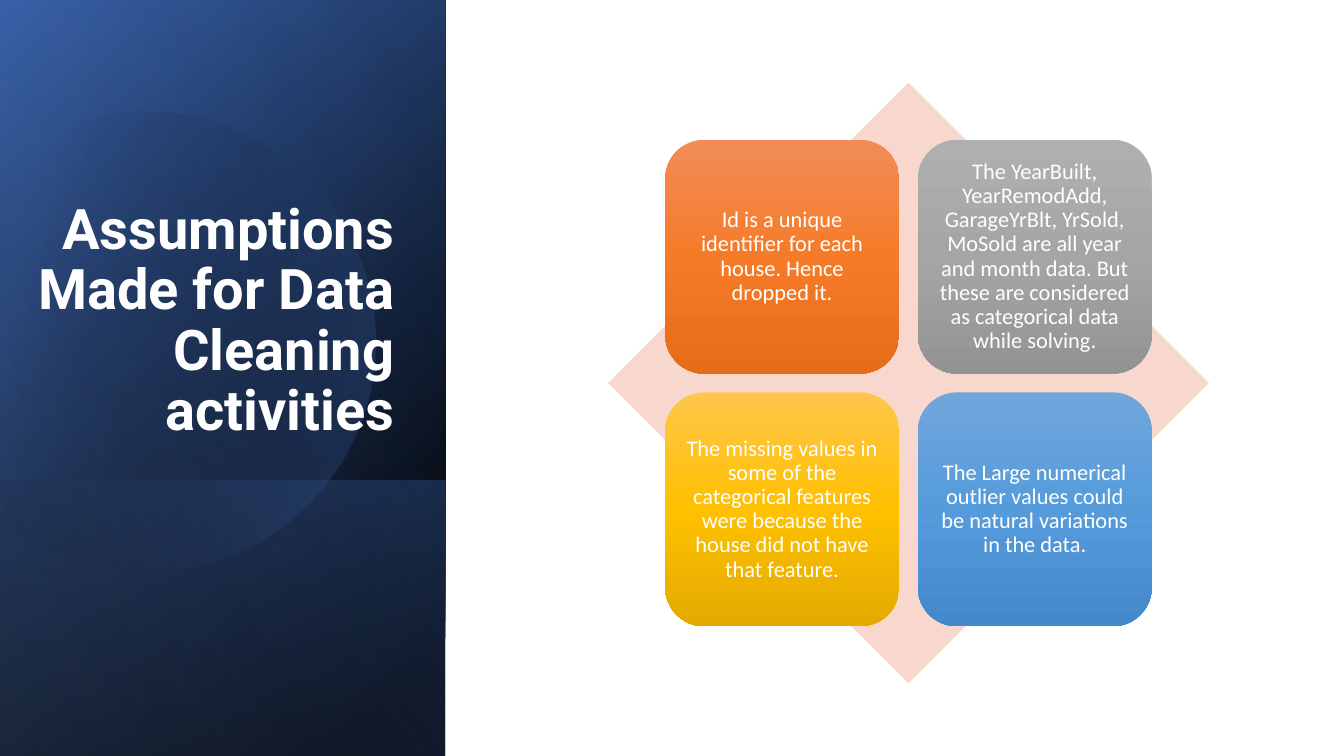
import math
from dataclasses import dataclass

from lxml import etree
from pptx import Presentation
from pptx import util as u
from pptx.dml.color import RGBColor
from pptx.enum import shapes, text
from pptx.oxml.ns import qn

SCALE = 4572  # EMU per px, 200 px to the inch
SLIDE_WIDTH, SLIDE_HEIGHT = 2000, 1125
PANEL_WIDTH = 663
COLOURS = {
    "white": "FFFFFF", "black": "000000", "navy": "2F5597",
    "blue": "4472C4", "pale blue": "8FAADC", "diamond": "F8D7CE",
    "orange light": "F18C57", "orange": "F67B28", "orange dark": "E56C19",
    "grey light": "AFAFAF", "grey": "A5A5A5", "grey dark": "939393",
    "gold light": "FFC64B", "gold": "FFC000", "gold dark": "E3AB00",
    "sky light": "71A6DB", "sky": "559BDB", "sky dark": "448ACA",
}


@dataclass
class Stop:
    position: int
    colour: str
    opacity: int = 100


@dataclass
class Layer:
    top: int
    angle: int
    stops: list[Stop]


@dataclass
class Tile:
    column: int
    row: int
    colour: str
    wording: str


LAYERS = [
    Layer(0, 50, [Stop(8, "black"), Stop(100, "navy")]),
    Layer(0, 30, [Stop(0, "black", 0), Stop(99, "blue", 46)]),
    Layer(715, 130, [Stop(2, "blue", 29), Stop(100, "black", 30)]),
]
TOP_LAYER = Layer(0, 120, [Stop(0, "black", 0), Stop(99, "pale blue", 11)])
# Disc: frame before turning, and its outline on the slide.
# A segment of three points is a curve, a segment of one is a line.
DISC_FRAME = (-82, 160, 640, 686)
DISC_TURN = 343.9
DISC_STOPS = [Stop(29, "black", 0), Stop(100, "blue", 43)]
DISC_START = (222, 166)
DISC_SEGMENTS = [
    [(370, 168), (502, 266), (546, 414)],
    [(598, 596), (492, 786), (310, 838)],
    [(196, 870), (80, 842), (-4, 772)],
    [(-22, 754)],
    [(-22, 262)],
    [(0, 242)],
    [(34, 214), (76, 192), (120, 178)],
    [(154, 168), (190, 164), (222, 166)],
]
TILES = [
    Tile(0, 0, "orange", "Id is a unique identifier for each house. Hence dropped it."),
    Tile(1, 0, "grey", "The YearBuilt, YearRemodAdd, GarageYrBlt, YrSold, MoSold are all "
         "year and month data. But these are considered as categorical data while solving."),
    Tile(0, 1, "gold", "The missing values in some of the categorical features were "
         "because the house did not have that feature."),
    Tile(1, 1, "sky", "The Large numerical outlier values could be natural variations "
         "in the data."),
]


def px(*lengths: float) -> list[u.Emu]:
    return [u.Emu(round(length * SCALE)) for length in lengths]


def rgb(name: str) -> RGBColor:
    return RGBColor.from_string(COLOURS[name])


def fill_gradient(shape, stops: list[Stop], angle: int) -> None:
    """Give the shape a linear gradient; angle runs clockwise in degrees."""
    shape.shadow.inherit = False
    shape.line.fill.background()
    shape.fill.gradient()
    gradient = shape._element.spPr.find(qn("a:gradFill"))
    for child in list(gradient):
        gradient.remove(child)
    gradient.set("rotWithShape", "1")
    stop_list = etree.SubElement(gradient, qn("a:gsLst"))
    for stop in stops:
        mark = etree.SubElement(stop_list, qn("a:gs"), pos=str(stop.position * 1000))
        colour = etree.SubElement(mark, qn("a:srgbClr"), val=COLOURS[stop.colour])
        if stop.opacity < 100:
            etree.SubElement(colour, qn("a:alpha"), val=str(stop.opacity * 1000))
    etree.SubElement(gradient, qn("a:lin"), ang=str(angle * 60000), scaled="0")


def write(shape, wording: str, font_name: str, size: int, alignment, bold: bool) -> None:
    paragraph = shape.text_frame.paragraphs[0]
    paragraph.alignment = alignment
    paragraph.line_spacing = 0.9
    run = paragraph.add_run()
    run.text = wording
    run.font.name, run.font.size, run.font.bold = font_name, u.Pt(size), bold
    run.font.color.rgb = rgb("white")


def draw_layer(slide, layer: Layer) -> None:
    """Draw a mirrored rectangle turned a quarter, from its top to the slide's foot."""
    height = SLIDE_HEIGHT - layer.top
    left = (PANEL_WIDTH - height) / 2
    top = layer.top + (height - PANEL_WIDTH) / 2
    shape = slide.shapes.add_shape(shapes.MSO_SHAPE.RECTANGLE,
                                   *px(left, top, height, PANEL_WIDTH))
    shape.rotation = 90
    shape._element.spPr.find(qn("a:xfrm")).set("flipH", "1")
    fill_gradient(shape, layer.stops, layer.angle)


def into_disc_frame(point: tuple[int, int]) -> list[u.Emu]:
    """Turn a slide point back into the frame of the unturned disc."""
    left, top, width, height = DISC_FRAME
    x, y = point[0] - left - width / 2, point[1] - top - height / 2
    turn = math.radians(-DISC_TURN)
    return px(x * math.cos(turn) - y * math.sin(turn) + width / 2,
              x * math.sin(turn) + y * math.cos(turn) + height / 2)


def draw_disc(slide) -> None:
    builder = slide.shapes.build_freeform(*into_disc_frame(DISC_START))
    builder.add_line_segments([into_disc_frame(segment[-1]) for segment in DISC_SEGMENTS])
    shape = builder.convert_to_shape()
    shape.left, shape.top, shape.width, shape.height = px(*DISC_FRAME)
    shape.rotation = DISC_TURN
    # Bend the outline
    outline = next(shape._element.iter(qn("a:path")))
    for child in list(outline):
        outline.remove(child)
    for name, size in zip("wh", px(*DISC_FRAME[2:])):
        outline.set(name, str(size))
    steps = [("a:moveTo", [DISC_START])]
    steps += [("a:cubicBezTo" if len(segment) == 3 else "a:lnTo", segment)
              for segment in DISC_SEGMENTS]
    for tag, points in steps + [("a:close", [])]:
        step = etree.SubElement(outline, qn(tag))
        for point in points:
            x, y = into_disc_frame(point)
            etree.SubElement(step, qn("a:pt"), x=str(x), y=str(y))
    fill_gradient(shape, DISC_STOPS, 30)


def draw_tile(group, tile: Tile, left: int, top: int, size: int) -> None:
    shape = group.shapes.add_shape(shapes.MSO_SHAPE.ROUNDED_RECTANGLE,
                                   *px(left, top, size, size))
    shades = (f"{tile.colour} light", tile.colour, f"{tile.colour} dark")
    fill_gradient(shape, [Stop(50 * i, shade) for i, shade in enumerate(shades)], 90)
    frame = shape.text_frame
    frame.word_wrap = True
    frame.vertical_anchor = text.MSO_ANCHOR.MIDDLE
    frame.margin_left = frame.margin_right = frame.margin_top = frame.margin_bottom = px(10)[0]
    write(shape, tile.wording, "Calibri", 12, text.PP_ALIGN.CENTER, False)


def draw_matrix(slide) -> None:
    left, top, size = 905, 123, 894
    tile_size, gap = 348, 28
    group = slide.shapes.add_group_shape()
    diamond = group.shapes.add_shape(shapes.MSO_SHAPE.DIAMOND, *px(left, top, size, size))
    diamond.shadow.inherit = False
    diamond.fill.solid()
    diamond.fill.fore_color.rgb = rgb("diamond")
    diamond.line.fill.background()
    inset = (size - 2 * tile_size - gap) // 2
    for tile in TILES:
        draw_tile(group, tile, left + inset + tile.column * (tile_size + gap),
                  top + inset + tile.row * (tile_size + gap), tile_size)


def place_title(slide) -> None:
    title = slide.shapes.title
    title.left, title.top, title.width, title.height = px(17, 275, 590, 394)
    frame = title.text_frame
    frame.word_wrap = True
    frame.auto_size = text.MSO_AUTO_SIZE.NONE
    frame.vertical_anchor = text.MSO_ANCHOR.BOTTOM
    write(title, "Assumptions Made for Data Cleaning activities", "Roboto", 30,
          text.PP_ALIGN.RIGHT, True)
    slide.shapes._spTree.append(title._element)  # in front of the panel


def main() -> None:
    presentation = Presentation()
    presentation.slide_width, presentation.slide_height = px(SLIDE_WIDTH, SLIDE_HEIGHT)
    slide = presentation.slides.add_slide(presentation.slide_layouts[5])
    # Dark panel
    for layer in LAYERS:
        draw_layer(slide, layer)
    draw_disc(slide)
    draw_layer(slide, TOP_LAYER)
    place_title(slide)
    # Diamond with four tiles
    draw_matrix(slide)
    presentation.save("out.pptx")


if __name__ == "__main__":
    main()
